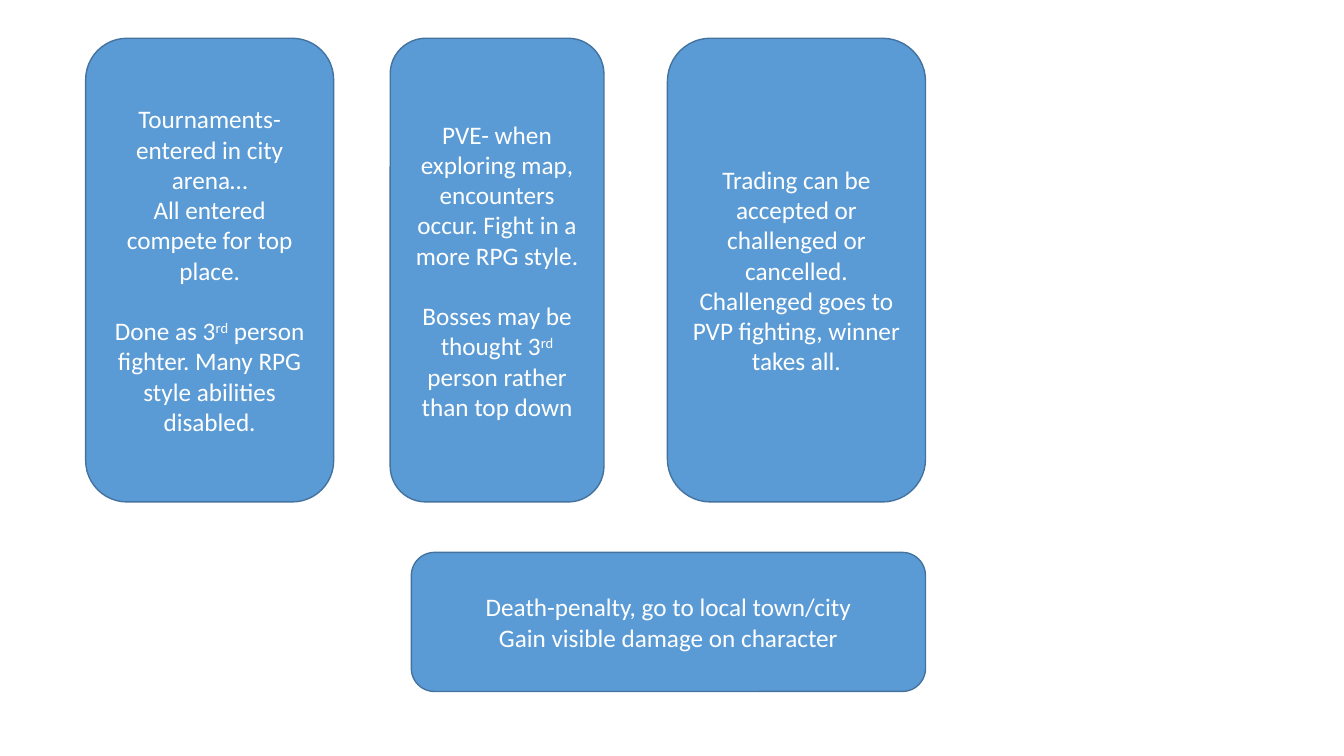
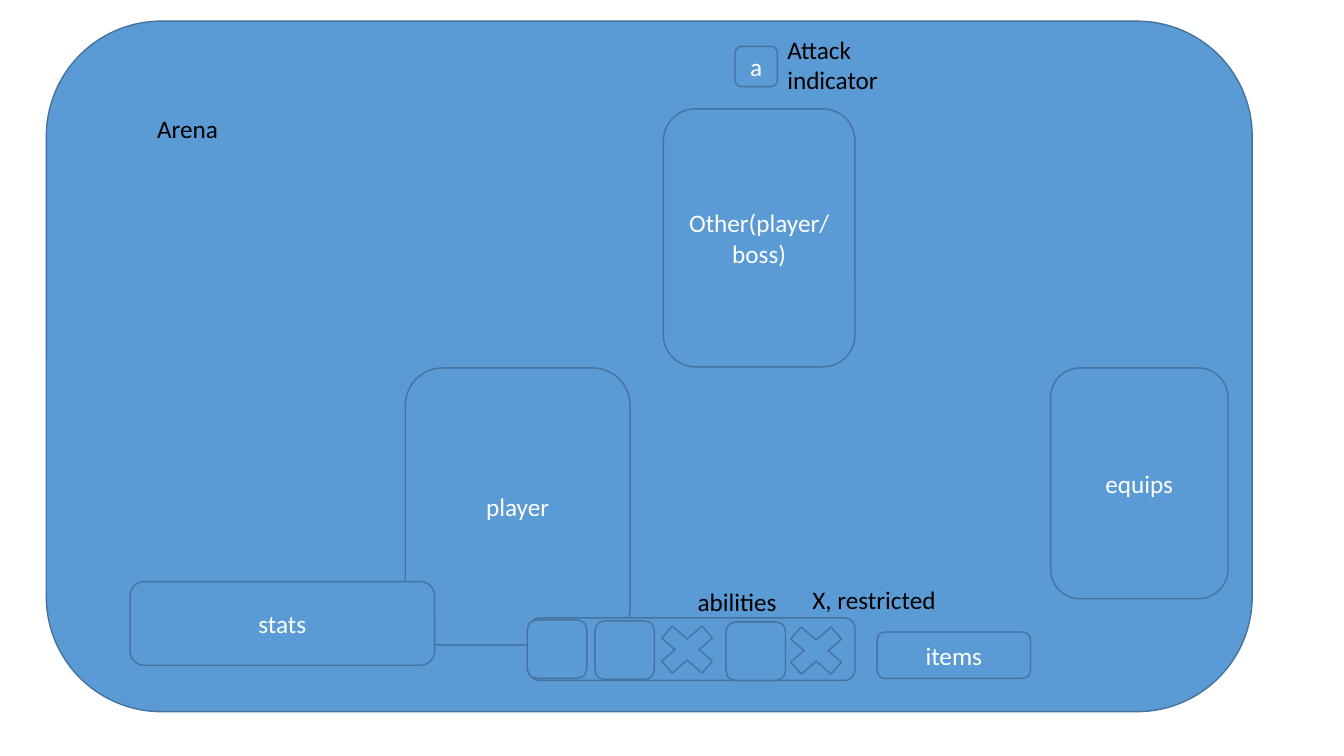
from pptx import Presentation
from pptx import util as u
from pptx.dml.color import RGBColor
from pptx.enum import shapes, text

PANEL_BLUE = RGBColor(0x5B, 0x9B, 0xD5)
OUTLINE_BLUE = RGBColor(0x43, 0x73, 0x9E)
WHITE = RGBColor(0xFF, 0xFF, 0xFF)
BLACK = RGBColor(0x00, 0x00, 0x00)
ROUNDED = shapes.MSO_SHAPE.ROUNDED_RECTANGLE
CROSS = shapes.MSO_SHAPE.MATH_MULTIPLY


class Deck:
    """Holds the shared style and the slide being filled."""

    font_name = "Calibri"
    font_size = u.Pt(18)
    block_gap = u.Pt(21.6)

    def __init__(self):
        """Start an empty widescreen presentation."""
        self.prs = Presentation()
        self.prs.slide_width = u.Inches(13.33)
        self.prs.slide_height = u.Inches(7.5)
        self.slide = None

    def new_slide(self):
        """Add a blank slide and make it current."""
        self.slide = self.prs.slides.add_slide(self.prs.slide_layouts[6])

    def add_wording(self, frame, blocks, color, align):
        """Fill a frame with blocks of paragraphs; ^marks^ enclose superscript."""
        frame.word_wrap = True
        paragraph = None
        for block_index, block in enumerate(blocks):
            for line_index, line in enumerate(block):
                paragraph = frame.add_paragraph() if paragraph else frame.paragraphs[0]
                paragraph.alignment = align
                if block_index and not line_index:
                    paragraph.space_before = self.block_gap
                for part_index, part in enumerate(line.split("^")):
                    run = paragraph.add_run()
                    run.text = part
                    run.font.name = self.font_name
                    run.font.size = self.font_size
                    run.font.color.rgb = color
                    if part_index % 2:
                        run._r.get_or_add_rPr().set("baseline", "30000")

    def panel(self, left, top, width, height, *blocks, kind=ROUNDED):
        """Add an outlined blue shape with centred white text."""
        panel = self.slide.shapes.add_shape(
            kind, *map(u.Inches, (left, top, width, height)))
        panel.shadow.inherit = False
        panel.fill.solid()
        panel.fill.fore_color.rgb = PANEL_BLUE
        panel.line.color.rgb = OUTLINE_BLUE
        panel.line.width = u.Pt(1)
        if blocks:
            panel.text_frame.vertical_anchor = text.MSO_ANCHOR.MIDDLE
            self.add_wording(panel.text_frame, blocks, WHITE, text.PP_ALIGN.CENTER)

    def label(self, left, top, width, height, wording):
        """Add a black caption, aligned left."""
        caption = self.slide.shapes.add_textbox(
            *map(u.Inches, (left, top, width, height)))
        caption.text_frame.auto_size = text.MSO_AUTO_SIZE.SHAPE_TO_FIT_TEXT
        self.add_wording(caption.text_frame, [[wording]], BLACK, text.PP_ALIGN.LEFT)


def build_rules(deck):
    """Describe the fighting modes, trading and the death penalty."""
    deck.new_slide()
    tournaments = (
        ["Tournaments- entered in city arena…",
         "All entered compete for top place."],
        ["Done as 3^rd^ person fighter. Many RPG style abilities disabled."],
    )
    exploring = (
        ["PVE- when exploring map, encounters occur. "
         "Fight in a more RPG style."],
        ["Bosses may be thought 3^rd^ person rather than top down"],
    )
    trading = (
        ["Trading can be accepted or challenged or cancelled. "
         "Challenged goes to PVP fighting, winner takes all."],
    )
    for left, width, mode in ((0.85, 2.46, tournaments),
                              (3.87, 2.12, exploring),
                              (6.62, 2.56, trading)):
        deck.panel(left, 0.38, width, 4.6, *mode)
    deck.panel(4.08, 5.48, 5.1, 1.38,
               ["Death-penalty, go to local town/city",
                "Gain visible damage on character"])


def build_arena(deck):
    """Lay out the arena screen with its fighters and controls."""
    deck.new_slide()
    deck.panel(0.46, 0.21, 11.96, 6.85)
    deck.panel(4.02, 3.65, 2.23, 2.75, ["player"])
    deck.panel(6.58, 1.08, 1.9, 2.56, ["Other(player/boss)"])
    deck.panel(7.29, 0.46, 0.42, 0.4, ["a"])
    deck.panel(10.42, 3.65, 1.76, 2.29, ["equips"])

    deck.panel(5.25, 6.13, 3.23, 0.62)
    for left, top in ((7.71, 6.12), (6.43, 6.11)):
        deck.panel(left, top, 0.77, 0.67, kind=CROSS)
    for left, top in ((7.2, 6.17), (5.9, 6.16), (5.23, 6.15)):
        deck.panel(left, top, 0.59, 0.58)

    deck.panel(8.7, 6.27, 1.52, 0.46, ["items"])
    deck.label(7.71, 0.29, 1.38, 0.71, "Attack indicator")
    deck.label(6.82, 5.77, 1.28, 0.4, "abilities")
    deck.label(1.46, 1.08, 4, 0.4, "Arena")
    deck.panel(1.29, 5.77, 3.02, 0.83, ["stats"])
    deck.label(7.96, 5.75, 1.66, 0.4, "X, restricted")


game_deck = Deck()
build_rules(game_deck)
build_arena(game_deck)
game_deck.prs.save("out.pptx")
